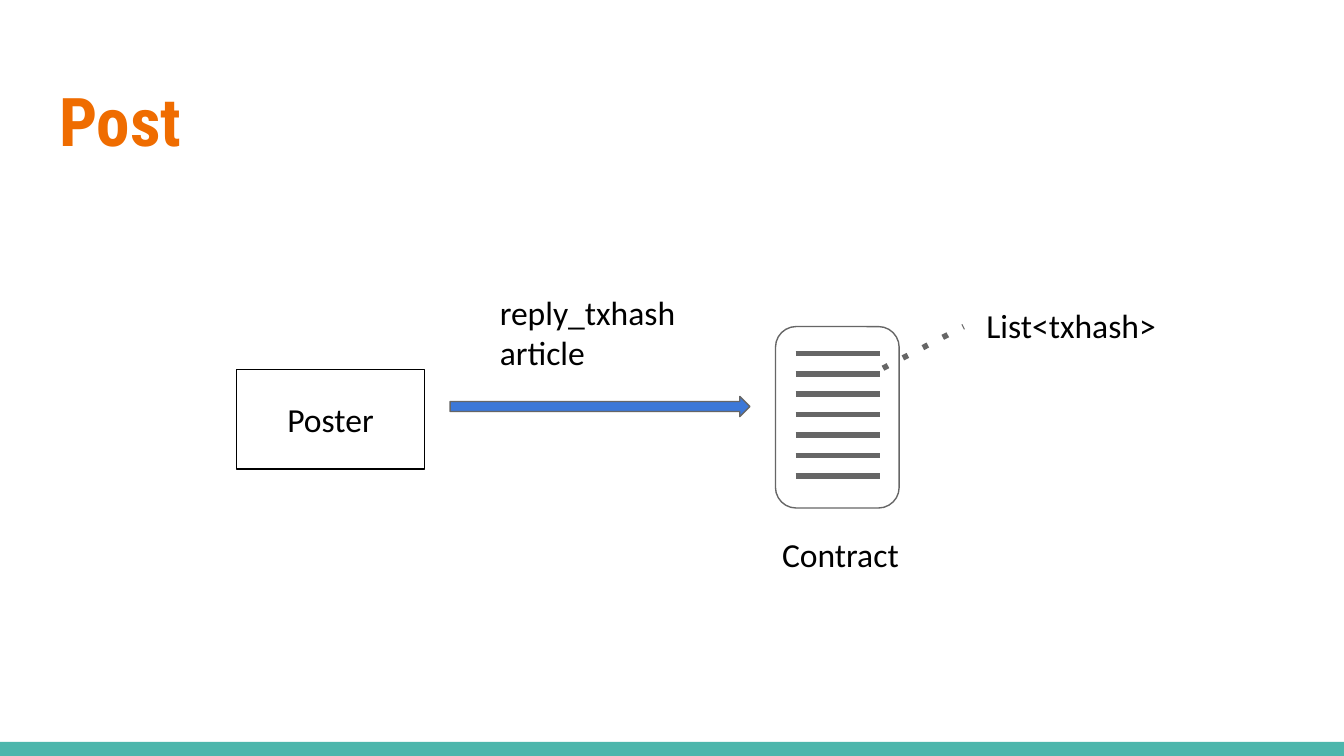
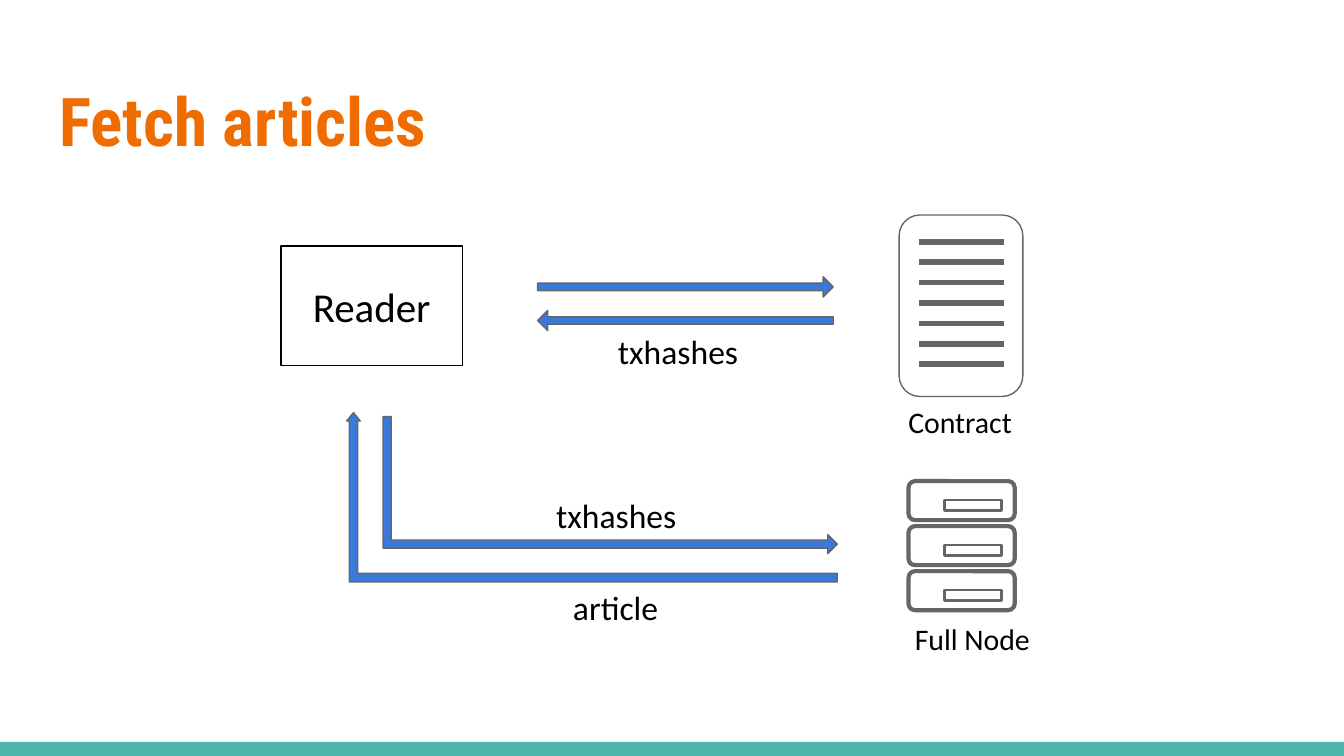
from dataclasses import dataclass

import pptx
import pptx.util
from lxml import etree
from pptx.dml.color import RGBColor
from pptx.enum.shapes import MSO_CONNECTOR, MSO_SHAPE
from pptx.enum.text import MSO_ANCHOR, MSO_AUTO_SIZE, PP_ALIGN
from pptx.oxml.ns import qn
from pptx.util import Inches

COLORS = {
    "title": "EF6C00",
    "band": "4DB6AC",
    "arrow": "3C78D8",
    "gray": "666666",
    "ink": "000000",
    "paper": "FFFFFF",
}
HEAD_FONT = "Roboto Condensed"
BODY_FONT = "Calibri"
LEFT, MID = PP_ALIGN.LEFT, PP_ALIGN.CENTER


@dataclass
class Label:
    text: str
    x: float
    y: float
    w: float
    h: float
    size: int = 18
    align: PP_ALIGN = LEFT


@dataclass
class Arrow:
    kind: MSO_SHAPE
    x: float
    y: float
    w: float
    h: float
    adj: tuple
    turn: int = 0
    flip: bool = False


# Shared tools
def color(name: str) -> RGBColor:
    return RGBColor.from_string(COLORS[name])


def write(shape, text: str, *, size=18, font=BODY_FONT, ink="ink",
          bold=False, align=LEFT, anchor=MSO_ANCHOR.TOP) -> None:
    frame = shape.text_frame
    frame.word_wrap = True
    frame.auto_size = MSO_AUTO_SIZE.NONE
    frame.vertical_anchor = anchor
    for side in ("left", "top", "right", "bottom"):
        setattr(frame, f"margin_{side}", Inches(0.1))
    frame.text = text
    for para in frame.paragraphs:
        para.alignment = align
        for run in para.runs:
            run.font.name = font
            run.font.size = pptx.util.Pt(size)
            run.font.bold = bold
            run.font.color.rgb = color(ink)


def add_box(shapes, kind: MSO_SHAPE, x: float, y: float, w: float, h: float,
            fill=None, line=None, width=0.75):
    box = shapes.add_shape(kind, Inches(x), Inches(y), Inches(w), Inches(h))
    box.shadow.inherit = False
    if fill:
        box.fill.solid()
        box.fill.fore_color.rgb = color(fill)
    else:
        box.fill.background()
    if line:
        box.line.color.rgb = color(line)
        box.line.width = pptx.util.Pt(width)
    else:
        box.line.fill.background()
    return box


def add_line(shapes, x1: float, y1: float, x2: float, y2: float,
             dash=None) -> None:
    line = shapes.add_connector(MSO_CONNECTOR.STRAIGHT, Inches(x1), Inches(y1),
                                Inches(x2), Inches(y2))
    line.line.color.rgb = color("gray")
    line.line.width = pptx.util.Pt(3)
    props = line.element.spPr
    if dash:
        etree.SubElement(props.find(qn("a:ln")), qn("a:prstDash")).set("val", dash)
    etree.SubElement(props, qn("a:effectLst"))


def add_label(slide, label: Label) -> None:
    box = slide.shapes.add_textbox(Inches(label.x), Inches(label.y),
                                   Inches(label.w), Inches(label.h))
    write(box, label.text, size=label.size, align=label.align)


def add_arrow(slide, arrow: Arrow) -> None:
    shape = add_box(slide.shapes, arrow.kind, arrow.x, arrow.y, arrow.w,
                    arrow.h, "arrow", "gray")
    for i, value in enumerate(arrow.adj):
        shape.adjustments[i] = value
    shape.rotation = arrow.turn
    if arrow.flip:
        shape.element.spPr.xfrm.set("flipH", "1")


def add_actor(slide, text: str, x: float, y: float, w: float, h: float,
              size: int) -> None:
    box = add_box(slide.shapes, MSO_SHAPE.RECTANGLE, x, y, w, h, line="ink")
    write(box, text, size=size, align=MID, anchor=MSO_ANCHOR.MIDDLE)


def add_page(slide, x: float, y: float) -> None:
    """Contract icon: a rounded sheet with seven even lines."""
    shapes = slide.shapes.add_group_shape().shapes
    add_box(shapes, MSO_SHAPE.ROUNDED_RECTANGLE, x, y, 0.92, 1.35,
            "paper", "gray")
    for i in range(7):
        row = y + 0.2 + i * 0.91 / 6
        add_line(shapes, x + 0.15, row, x + 0.78, row)


def add_stack(slide, x: float, y: float) -> None:
    """Node icon: three units, each with a slot."""
    shapes = slide.shapes.add_group_shape().shapes
    for i in range(3):
        top = y + i * 0.67 / 2
        add_box(shapes, MSO_SHAPE.ROUNDED_RECTANGLE, x, top, 0.79, 0.29,
                "paper", "gray", 2.25)
        add_box(shapes, MSO_SHAPE.RECTANGLE, x + 0.27, top + 0.14, 0.42, 0.08,
                "paper", "gray", 1.5)


def add_slide(deck, layout, text: str):
    slide = deck.slides.add_slide(layout)
    title = slide.shapes.title
    title.left, title.top = Inches(0.34), Inches(0.49)
    title.width, title.height = Inches(9.32), Inches(0.77)
    write(title, text, size=36, font=HEAD_FONT, ink="title", bold=True)
    return slide


# Slides
def draw_post(slide) -> None:
    add_actor(slide, "Poster", 1.76, 2.75, 1.4, 0.74, 18)
    add_arrow(slide, Arrow(MSO_SHAPE.RIGHT_ARROW, 3.35, 2.95, 2.23, 0.15,
                           (0.5, 0.5)))
    add_page(slide, 5.77, 2.43)
    add_line(slide.shapes, 6.57, 2.74, 7.17, 2.43, "dot")
    for label in (
        Label("reply_txhash\narticle", 3.62, 2.07, 1.69, 0.74),
        Label("List<txhash>", 7.24, 2.17, 2.39, 0.79),
        Label("Contract", 5.72, 3.87, 1.19, 0.55),
    ):
        add_label(slide, label)


def draw_fetch(slide) -> None:
    add_actor(slide, "Reader", 2.09, 1.83, 1.35, 0.89, 22)
    add_page(slide, 6.69, 1.6)
    add_stack(slide, 6.76, 3.58)
    flat, bent = MSO_SHAPE.RIGHT_ARROW, MSO_SHAPE.BENT_UP_ARROW
    for arrow in (
        Arrow(flat, 4, 2.06, 2.2, 0.15, (0.37, 0.5)),
        Arrow(flat, 4, 2.31, 2.2, 0.15, (0.37, 0.5), turn=180),
        Arrow(bent, 4.03, 1.92, 1.02, 3.38, (0.06, 0.07, 0.07), turn=90),
        Arrow(bent, 2.58, 3.07, 3.65, 1.26, (0.05, 0.04, 0.05), flip=True),
    ):
        add_arrow(slide, arrow)
    for label in (
        Label("txhashes", 4.5, 2.36, 1.44, 0.8),
        Label("txhashes", 3.91, 3.58, 1.35, 0.45, align=MID),
        Label("article", 3.99, 4.27, 1.18, 0.56, align=MID),
        Label("Full Node", 6.56, 4.52, 1.35, 0.65, 16, MID),
        Label("Contract", 6.66, 2.9, 1.18, 0.55, 16),
    ):
        add_label(slide, label)


def main() -> None:
    deck = pptx.Presentation()
    deck.slide_width = Inches(10)
    deck.slide_height = Inches(10) * 9 // 16
    layout = deck.slide_layouts.get_by_name("Title Only")
    post = add_slide(deck, layout, "Post")
    fetch = add_slide(deck, layout, "Fetch articles")

    # The band moves to the layout, so both slides share it
    band = add_box(post.shapes, MSO_SHAPE.RECTANGLE, 0, 5.52, 10, 0.11, "band")
    layout.element.cSld.spTree.append(band.element)

    draw_post(post)
    draw_fetch(fetch)
    deck.save("out.pptx")


if __name__ == "__main__":
    main()
